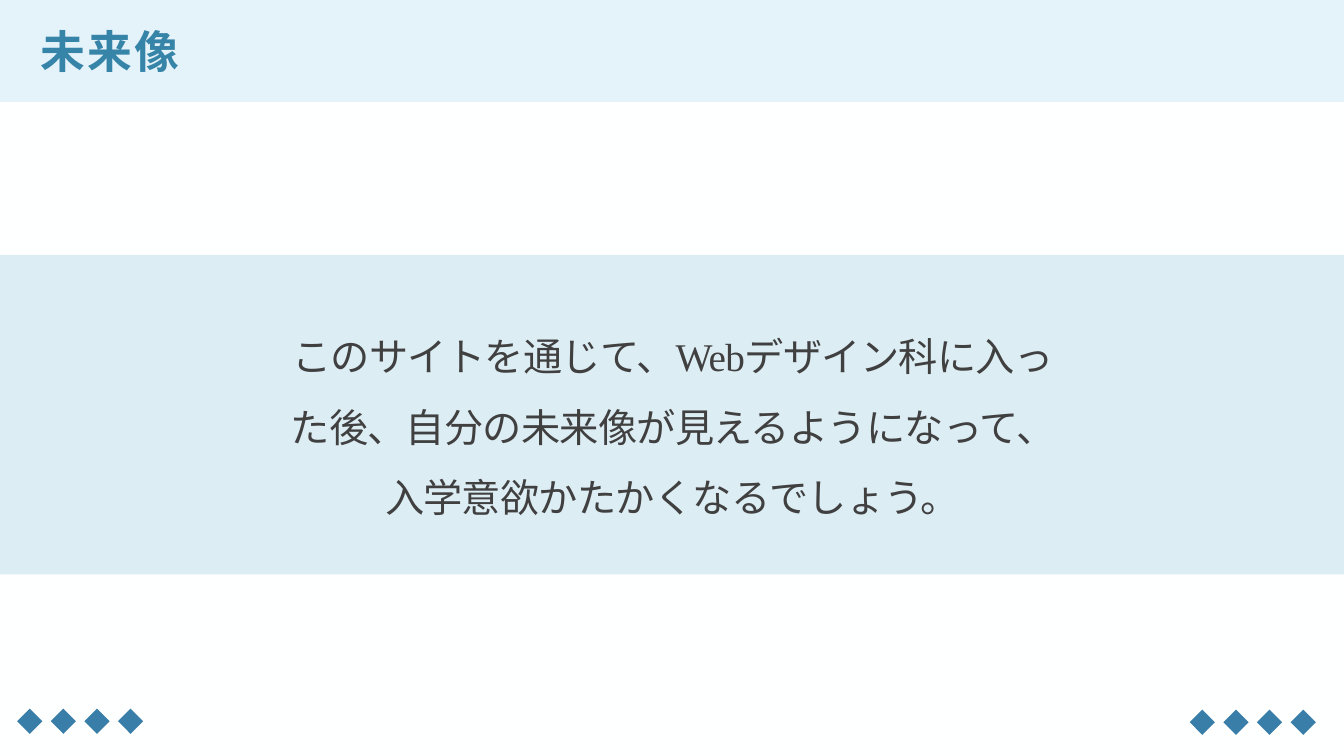
from dataclasses import dataclass

from lxml import etree
from pptx import Presentation
from pptx.dml.color import RGBColor
from pptx.enum.shapes import MSO_SHAPE
from pptx.enum.text import MSO_ANCHOR, MSO_AUTO_SIZE, PP_ALIGN
from pptx.oxml.ns import qn
from pptx.util import Inches, Pt

DIAMOND = MSO_SHAPE.DIAMOND
RECTANGLE = MSO_SHAPE.RECTANGLE
MIDDLE = MSO_ANCHOR.MIDDLE
NO_AUTOFIT = MSO_AUTO_SIZE.NONE
LEFT = PP_ALIGN.LEFT
CENTER = PP_ALIGN.CENTER
TITLE_ONLY = 5

SLIDE_WIDTH = 13.33
SLIDE_HEIGHT = 7.5
DIAMOND_COUNT = 4
DIAMOND_SIZE = 0.25
DIAMOND_PITCH = 1 / 3


@dataclass(frozen=True)
class Theme:
    font: str = "Times New Roman"
    background: str = "FEFFFF"
    diamond: str = "397EA8"
    header: str = "E4F2F9"
    band: str = "5CA8CB"
    title: str = "3684A8"
    body: str = "404040"
    title_size: float = 32
    body_size: float = 28


THEME = Theme()


def add_filled_shape(slide, kind, left, top, width, height, color, opacity=100):
    shape = slide.shapes.add_shape(
        kind, Inches(left), Inches(top), Inches(width), Inches(height))
    shape.shadow.inherit = False
    shape.line.fill.background()
    shape.fill.solid()
    shape.fill.fore_color.rgb = RGBColor.from_string(color)
    if opacity < 100:
        color_element = shape.fill._xPr.find(qn("a:solidFill"))[0]
        alpha = etree.SubElement(color_element, qn("a:alpha"))
        alpha.set("val", str(opacity * 1000))


def add_diamond_row(slide, left, top):
    for index in range(DIAMOND_COUNT):
        add_filled_shape(slide, DIAMOND, left + index * DIAMOND_PITCH, top,
                         DIAMOND_SIZE, DIAMOND_SIZE, THEME.diamond)


def write_text(shape, text, size, color, alignment, spacing, bold=False):
    """Fill a shape with one run; spacing is the letter spacing in points."""
    frame = shape.text_frame
    frame.word_wrap = True
    frame.auto_size = NO_AUTOFIT
    frame.vertical_anchor = MIDDLE
    frame.margin_left = frame.margin_right = Inches(0.07)
    frame.margin_top = frame.margin_bottom = Inches(0.03)
    paragraph = frame.paragraphs[0]
    paragraph.alignment = alignment
    run = paragraph.add_run()
    run.text = text
    run.font.name = THEME.font
    run.font.size = Pt(size)
    run.font.bold = bold
    run.font.color.rgb = RGBColor.from_string(color)
    run.font._element.set("spc", str(round(spacing * 100)))
    return paragraph


def place_title(slide, text):
    title = slide.shapes.title
    title.left, title.top = Inches(0.33), Inches(0.17)
    title.width, title.height = Inches(12.67), Inches(0.67)
    write_text(title, text, THEME.title_size, THEME.title, LEFT, 1.6, bold=True)
    # Bring the title in front of the header band.
    slide.shapes._spTree.append(title._element)


def add_message(slide, text):
    box = slide.shapes.add_textbox(
        Inches(2.75), Inches(2.96), Inches(7.84), Inches(2.31))
    paragraph = write_text(
        box, text, THEME.body_size, THEME.body, CENTER, -0.5)
    paragraph.line_spacing = 1.5


def main():
    presentation = Presentation()
    presentation.slide_width = Inches(SLIDE_WIDTH)
    presentation.slide_height = Inches(SLIDE_HEIGHT)
    slide = presentation.slides.add_slide(presentation.slide_layouts[TITLE_ONLY])
    slide.background.fill.solid()
    slide.background.fill.fore_color.rgb = RGBColor.from_string(THEME.background)

    add_diamond_row(slide, 0.17, 7.03)
    add_diamond_row(slide, 11.8, 7.04)
    add_filled_shape(slide, RECTANGLE, 0, 0, SLIDE_WIDTH, 1.01, THEME.header)
    add_filled_shape(slide, RECTANGLE, 0, 2.53, SLIDE_WIDTH, 3.17, THEME.band,
                     opacity=20)
    place_title(slide, "未来像")
    add_message(slide, "このサイトを通じて、Webデザイン科に入った後、"
                       "自分の未来像が見えるようになって、"
                       "入学意欲かたかくなるでしょう。")
    presentation.save("out.pptx")


if __name__ == "__main__":
    main()
